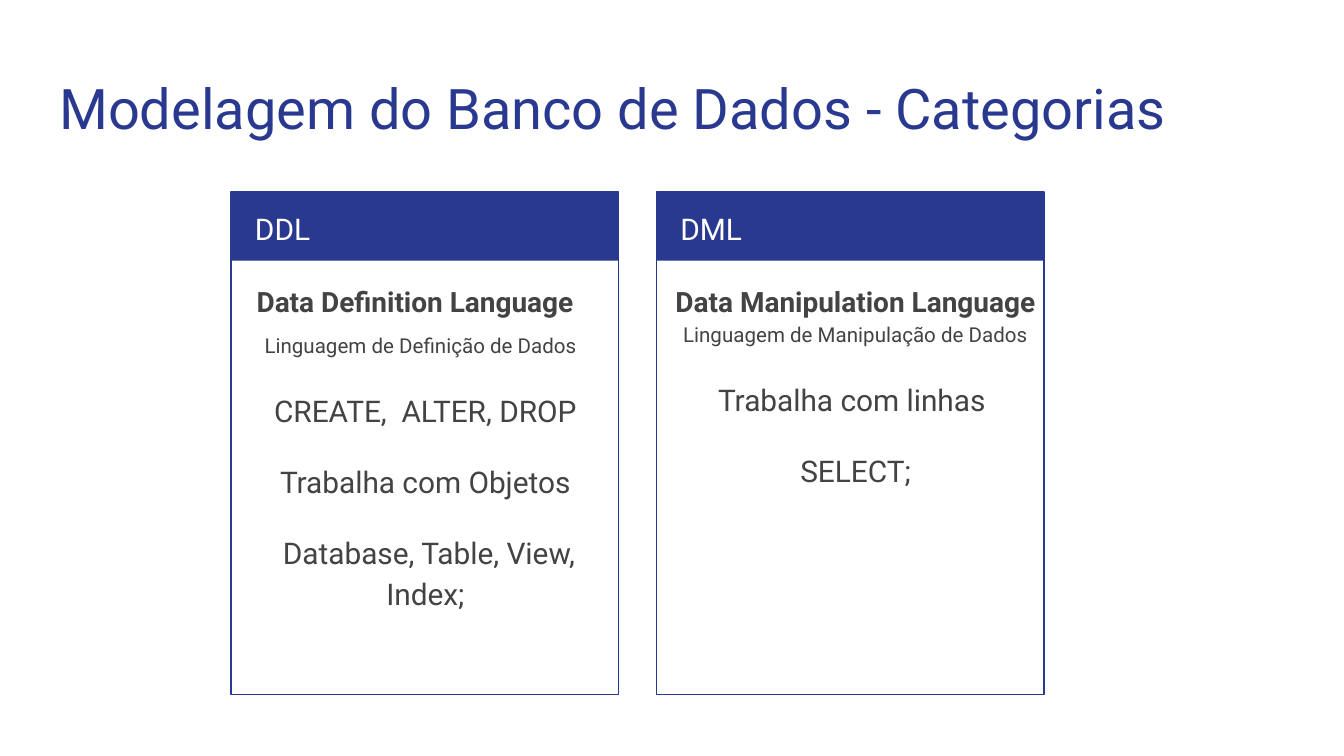
from dataclasses import dataclass

from pptx import Presentation
from pptx.dml.color import RGBColor
from pptx.enum.shapes import MSO_SHAPE
from pptx.enum.text import MSO_ANCHOR, PP_ALIGN
from pptx.util import Cm, Pt


@dataclass(frozen=True)
class Theme:
    font: str = "Roboto"
    blue: RGBColor = RGBColor(0x2A, 0x39, 0x90)
    white: RGBColor = RGBColor(0xFF, 0xFF, 0xFF)
    gray: RGBColor = RGBColor(0x43, 0x43, 0x43)
    title: int = 30
    text: int = 16
    name: int = 15
    translation: int = 11


THEME = Theme()
LEFT, CENTER = PP_ALIGN.LEFT, PP_ALIGN.CENTER

TITLE = "Modelagem do Banco de Dados - Categorias"
# "body" is the text offset from the card's left edge and the text width, in cm;
# "translation_gap" is the space before the translated name, in points
CARDS = [
    {"code": "DDL", "name": "Data Definition Language",
     "translation": "Linguagem de Definição de Dados",
     "lines": ["CREATE,  ALTER, DROP", "Trabalha com Objetos",
               " Database, Table, View, Index;"],
     "align": LEFT, "indent": 0.15, "translation_gap": 6, "body": (0.23, 6.88)},
    {"code": "DML", "name": "Data Manipulation Language",
     "translation": "Linguagem de Manipulação de Dados",
     "lines": ["Trabalha com linhas ", "SELECT;"],
     "align": CENTER, "indent": 0, "translation_gap": 0, "body": (0, 7.52)},
]

CARD_X, CARD_Y, CARD_W, CARD_H = 4.37, 3.63, 7.32, 9.5
HEADER_H, CARD_STEP = 1.3, 8.04
BODY_Y, BODY_H = 5.13, 7.77


def setup_frame(tf):
    tf.word_wrap = True
    tf.vertical_anchor = MSO_ANCHOR.TOP
    tf.margin_left = tf.margin_right = tf.margin_top = tf.margin_bottom = Cm(0.25)


def write(p, text, size, color, bold=False, align=LEFT, spacing=1.15, before=0):
    p.text = text
    p.font.name, p.font.size, p.font.bold = THEME.font, Pt(size), bold
    p.font.color.rgb = color
    p.alignment, p.line_spacing, p.space_before = align, spacing, Pt(before)


def add_text_frame(s, x, y, w, h):
    tf = s.shapes.add_textbox(Cm(x), Cm(y), Cm(w), Cm(h)).text_frame
    setup_frame(tf)
    return tf


def add_rect(s, x, h, filled):
    """A card-wide rectangle, either solid or only outlined."""
    rect = s.shapes.add_shape(MSO_SHAPE.RECTANGLE, Cm(x), Cm(CARD_Y), Cm(CARD_W), Cm(h))
    rect.shadow.inherit = False
    if filled:
        rect.fill.solid()
        rect.fill.fore_color.rgb = THEME.blue
        rect.line.fill.background()
    else:
        rect.fill.background()
        rect.line.color.rgb = THEME.blue
        rect.line.width = Pt(0.75)


def add_card(s, x, card):
    add_rect(s, x, HEADER_H, filled=True)
    add_rect(s, x, CARD_H, filled=False)
    header = add_text_frame(s, x + 0.2, CARD_Y, 6.93, HEADER_H)
    write(header.paragraphs[0], card["code"], THEME.text, THEME.white)

    offset, width = card["body"]
    tf = add_text_frame(s, x + offset, BODY_Y, width, BODY_H)
    write(tf.paragraphs[0], card["name"], THEME.name, THEME.gray, bold=True,
          align=card["align"], spacing=1.0)
    p = tf.add_paragraph()
    write(p, card["translation"], THEME.translation, THEME.gray,
          align=card["align"], before=card["translation_gap"])
    p._p.get_or_add_pPr().set("marL", str(Cm(card["indent"])))
    for line in card["lines"]:
        write(tf.add_paragraph(), line, THEME.text, THEME.gray, align=CENTER, before=16)


def main():
    prs = Presentation()
    prs.slide_width, prs.slide_height = Cm(25.4), Cm(14.29)
    s = prs.slides.add_slide(prs.slide_layouts[5])
    title = s.shapes.title
    title.left, title.top, title.width, title.height = Cm(0.87), Cm(1.14), Cm(23.67), Cm(1.68)
    setup_frame(title.text_frame)
    write(title.text_frame.paragraphs[0], TITLE, THEME.title, THEME.blue, spacing=1.0)
    for i, card in enumerate(CARDS):
        add_card(s, CARD_X + i * CARD_STEP, card)
    prs.save("out.pptx")


if __name__ == "__main__":
    main()
